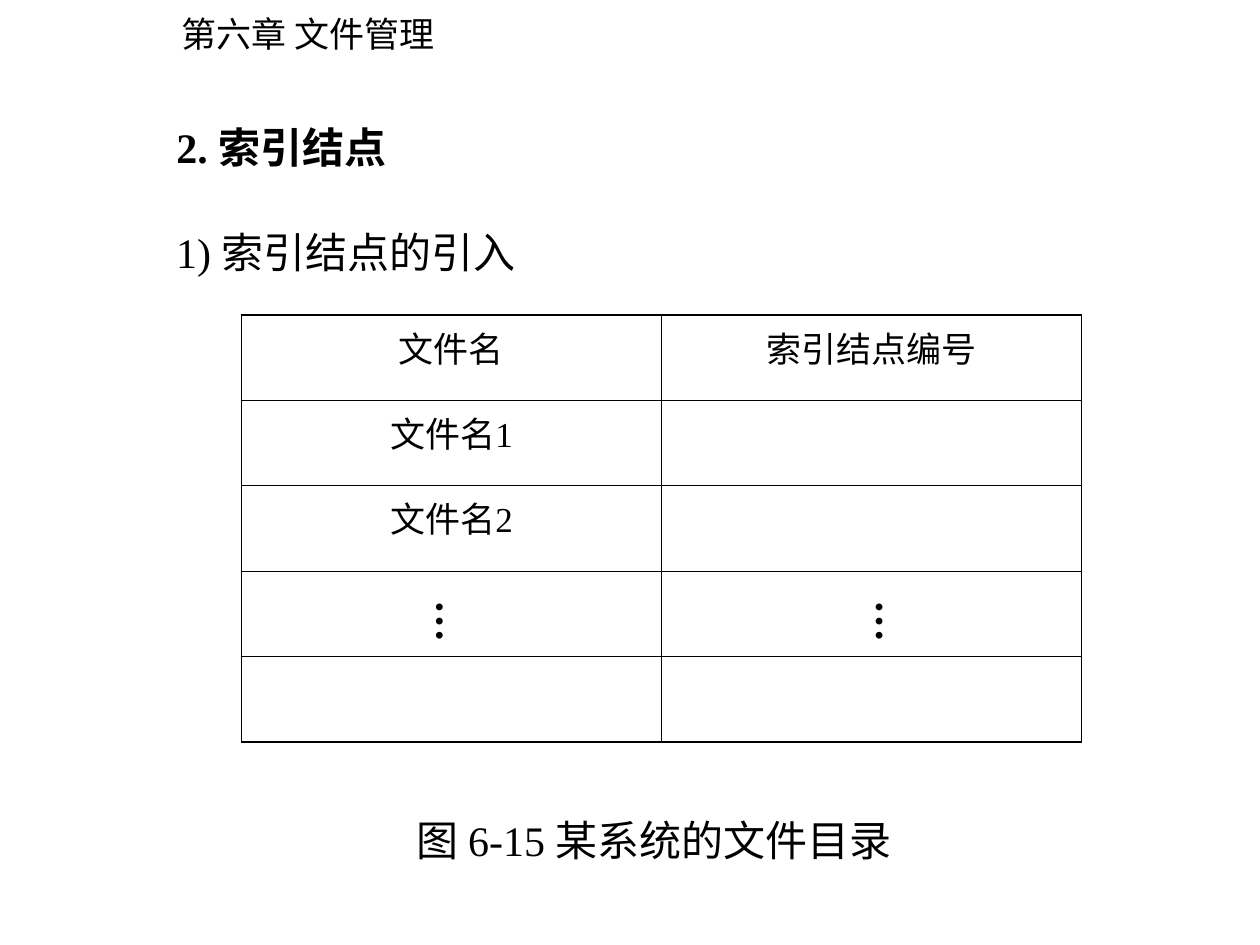
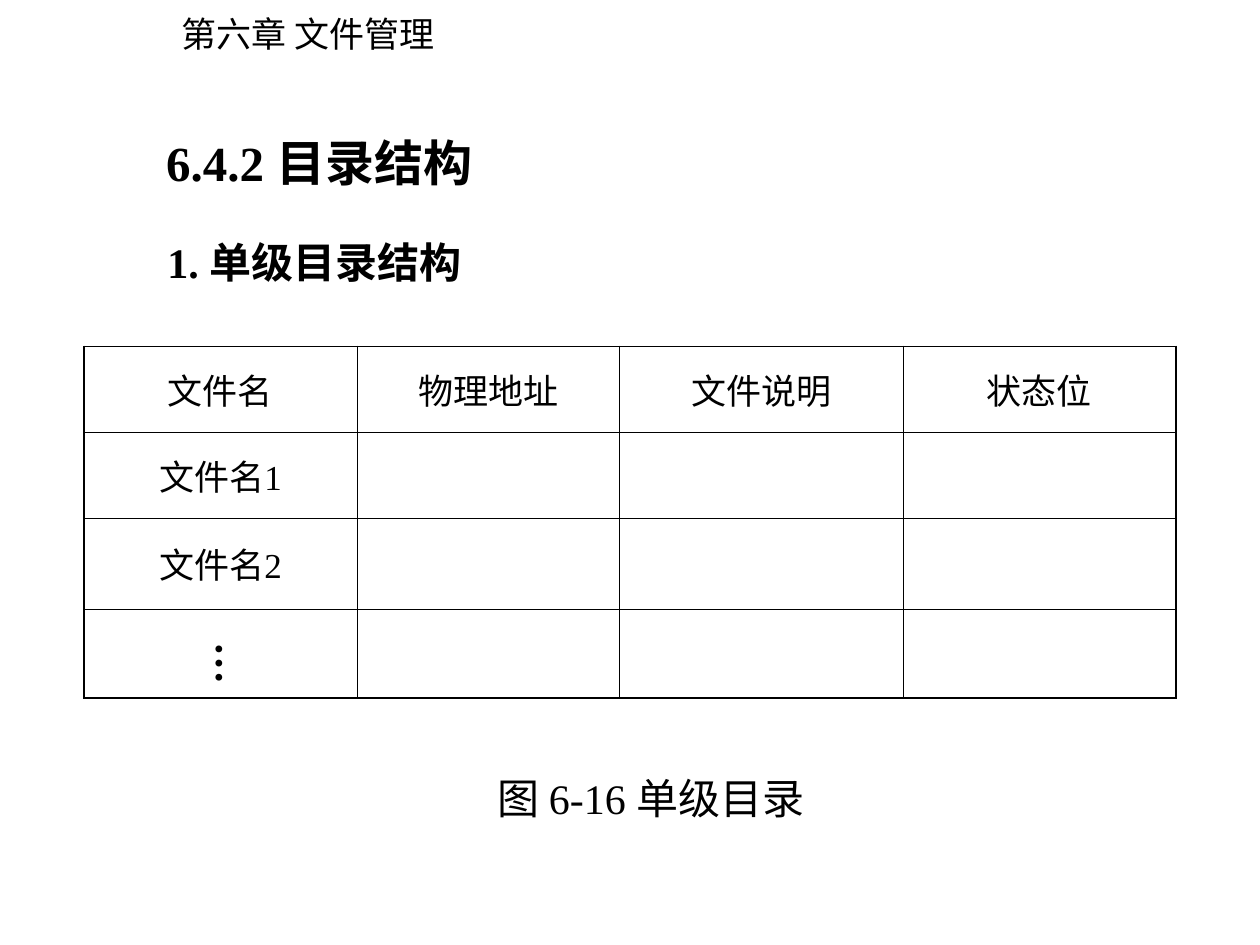
from lxml.etree import SubElement
from pptx import Presentation
from pptx.dml.color import RGBColor
from pptx.enum.text import MSO_ANCHOR, MSO_AUTO_SIZE, PP_ALIGN
from pptx.oxml.ns import qn
from pptx.util import Pt

BLACK = RGBColor(0x00, 0x00, 0x00)
LATIN_FONT = "Times New Roman"
CHINESE_FONT = "Noto Sans CJK SC"
OUTER_LINE, INNER_LINE = 1.08, 0.45
ELLIPSIS_SIZE = (43.2, 31.7)

# Boxes are (left, top, width, height) in points.
CHAPTER = ("第六章 文件管理", (96.5, 3.6, 163.4, 31.7))
SLIDES = [
    {
        "title": ("2. 索引结点", (93.6, 66, 144, 36), 24),
        "subtitle": ("1) 索引结点的引入", (93.6, 126, 219.6, 36), False),
        "caption": ("图 6-15 某系统的文件目录", (231, 462.2, 298, 36)),
        "table": {
            "position": (138, 180),
            "columns": [240, 240],
            "rows": [48.8] * 5,
            "anchor": MSO_ANCHOR.TOP,
            "text": [["文件名", "索引结点编号"], ["文件名1"], ["文件名2"]],
        },
        "ellipses": [(234, 336.2, PP_ALIGN.LEFT), (485.3, 336.2, PP_ALIGN.CENTER)],
    },
    {
        "title": ("6.4.2 目录结构", (87.8, 72, 202.3, 41), 28),
        "subtitle": ("1. 单级目录结构", (88.6, 131.8, 193.7, 36), True),
        "caption": ("图 6-16 单级目录", (277.2, 437.8, 206.6, 36)),
        "table": {
            "position": (48, 198),
            "columns": [156, 150, 162, 156],
            "rows": [49, 49, 52, 51],
            "anchor": MSO_ANCHOR.MIDDLE,
            "text": [["文件名", "物理地址", "文件说明", "状态位"], ["文件名1"], ["文件名2"]],
        },
        "ellipses": [(108, 360, PP_ALIGN.LEFT)],
    },
]


def write_text(frame, text, *, size=24, bold=False, latin=LATIN_FONT,
               align=PP_ALIGN.LEFT, space_before=0):
    paragraph = frame.paragraphs[0]
    paragraph.alignment = align
    paragraph.space_before = Pt(space_before)
    run = paragraph.add_run()
    run.text = text
    font = run.font
    font.size, font.bold, font.name = Pt(size), bold, latin
    font.color.rgb = BLACK
    east_asian = SubElement(run._r.get_or_add_rPr(), qn("a:ea"))
    east_asian.set("typeface", CHINESE_FONT)


def fill_box(shape, text, box, *, vertical=False, **text_format):
    """Place a text shape and write one unwrapped line in it."""
    shape.left, shape.top, shape.width, shape.height = map(Pt, box)
    frame = shape.text_frame
    frame.word_wrap = False
    frame.auto_size = MSO_AUTO_SIZE.SHAPE_TO_FIT_TEXT
    frame.vertical_anchor = MSO_ANCHOR.TOP
    side, end = (3.6, 7.2) if vertical else (7.2, 3.6)
    frame.margin_left = frame.margin_right = Pt(side)
    frame.margin_top = frame.margin_bottom = Pt(end)
    if vertical:
        frame._txBody.bodyPr.set("vert", "eaVert")
    write_text(frame, text, **text_format)


def add_text(slide, text, box, **text_format):
    shape = slide.shapes.add_textbox(*map(Pt, box))
    fill_box(shape, text, box, **text_format)
    return shape


def set_borders(cell, widths):
    properties = cell._tc.get_or_add_tcPr()
    for side, width in widths.items():
        line = SubElement(properties, qn(f"a:ln{side}"), w=str(Pt(width)))
        fill = SubElement(line, qn("a:solidFill"))
        SubElement(fill, qn("a:srgbClr"), val=str(BLACK))


def add_directory_table(slide, position, columns, rows, anchor, text):
    size = (sum(columns), sum(rows))
    table = slide.shapes.add_table(
        len(rows), len(columns), *map(Pt, position + size)).table
    table.first_row = table.horz_banding = False
    for column, width in zip(table.columns, columns):
        column.width = Pt(width)
    for row, height in zip(table.rows, rows):
        row.height = Pt(height)

    last_row, last_column = len(rows) - 1, len(columns) - 1
    for r, row in enumerate(table.rows):
        for c, cell in enumerate(row.cells):
            on_edge = {"L": c == 0, "R": c == last_column,
                       "T": r == 0, "B": r == last_row}
            set_borders(cell, {side: OUTER_LINE if edge else INNER_LINE
                               for side, edge in on_edge.items()})
            cell.fill.background()
            cell.vertical_anchor = anchor

    for r, labels in enumerate(text):
        for c, label in enumerate(labels):
            write_text(table.cell(r, c).text_frame, label, size=20,
                       align=PP_ALIGN.CENTER, space_before=5)


def move_chapter_to_layout(slide, layout):
    """Show the chapter name on every slide that uses the layout."""
    for placeholder in list(layout.placeholders)[1:]:
        placeholder._element.getparent().remove(placeholder._element)
    text, box = CHAPTER
    header = add_text(slide, text, box, size=20, latin=CHINESE_FONT)
    layout.shapes._spTree.append(header._element)


def build_slide(slide, content):
    title, title_box, title_size = content["title"]
    fill_box(slide.shapes.title, title, title_box, size=title_size, bold=True)
    subtitle, subtitle_box, subtitle_bold = content["subtitle"]
    add_text(slide, subtitle, subtitle_box, bold=subtitle_bold)
    add_text(slide, *content["caption"])
    add_directory_table(slide, **content["table"])
    for left, top, align in content["ellipses"]:
        add_text(slide, "…", (left, top, *ELLIPSIS_SIZE),
                 vertical=True, bold=True, align=align)


def main():
    presentation = Presentation()
    presentation.slide_width, presentation.slide_height = Pt(720), Pt(540)
    layout = presentation.slide_layouts.get_by_name("Title Only")
    for number, content in enumerate(SLIDES):
        slide = presentation.slides.add_slide(layout)
        if number == 0:
            move_chapter_to_layout(slide, layout)
        build_slide(slide, content)
    presentation.save("out.pptx")


if __name__ == "__main__":
    main()
